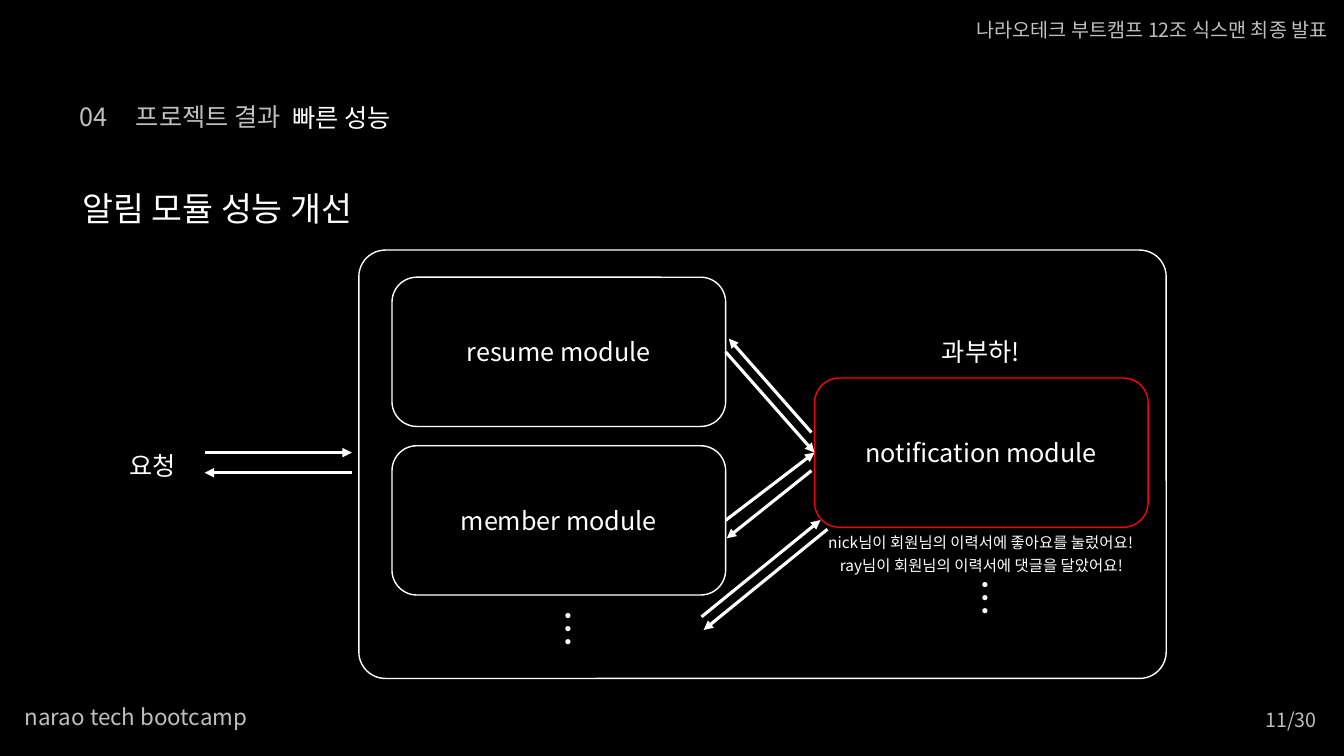
from pptx import Presentation
from pptx.dml.color import RGBColor
from pptx.enum.shapes import MSO_CONNECTOR, MSO_SHAPE
from pptx.enum.text import MSO_ANCHOR, PP_ALIGN
from pptx.oxml.ns import qn
from pptx.util import Pt
from lxml import etree

FONT = "Noto Sans CJK KR"
WHITE, GRAY, BLACK, RED = "FFFFFF", "BFBFBF", "000000", "FF0000"
LEFT, CENTER, RIGHT = PP_ALIGN.LEFT, PP_ALIGN.CENTER, PP_ALIGN.RIGHT
MIDDLE = MSO_ANCHOR.MIDDLE
ROUNDED = MSO_SHAPE.ROUNDED_RECTANGLE
STRAIGHT = MSO_CONNECTOR.STRAIGHT
LEFT_SIDE, RIGHT_SIDE = 1, 3


def color(hex_string):
    return RGBColor.from_string(hex_string)


def write(shape, text, size, text_color, alignment):
    """Put one styled line in a shape, with the font set for Latin and Korean."""
    shape.text_frame.word_wrap = True
    paragraph = shape.text_frame.paragraphs[0]
    paragraph.text = text
    paragraph.alignment = alignment
    paragraph.font.size = Pt(size)
    paragraph.font.name = FONT
    paragraph.font.color.rgb = color(text_color)
    properties = paragraph._p.pPr.find(qn("a:defRPr"))
    etree.SubElement(properties, qn("a:ea"), typeface=FONT)


presentation = Presentation()
presentation.slide_width = Pt(960)
presentation.slide_height = Pt(540)
slide = presentation.slides.add_slide(presentation.slide_layouts[6])
slide.background.fill.solid()
slide.background.fill.fore_color.rgb = color(BLACK)

# Server frame and its modules
MODULE_WIDTH, MODULE_HEIGHT = 238.3, 106.6
boxes = {}
for name, left, top, width, height, line_color in [
    ("server", 256.3, 178.6, 576.7, 306, WHITE),
    ("notification module", 581.8, 270, MODULE_WIDTH, MODULE_HEIGHT, RED),
    ("resume module", 280, 198, MODULE_WIDTH, MODULE_HEIGHT, WHITE),
    ("member module", 280, 318.4, MODULE_WIDTH, MODULE_HEIGHT, WHITE),
]:
    box = slide.shapes.add_shape(ROUNDED, Pt(left), Pt(top), Pt(width), Pt(height))
    box.shadow.inherit = False
    box.line.color.rgb = color(line_color)
    box.line.width = Pt(1)
    if name == "server":
        box.adjustments[0] = 0.062
        box.fill.background()
    else:
        box.fill.solid()
        box.fill.fore_color.rgb = color(BLACK)
        box.text_frame.vertical_anchor = MIDDLE
        write(box, name, 18, WHITE, CENTER)
    boxes[name] = box

# Headings, labels and footer; the ellipses are turned upright
for text, left, top, width, height, size, text_color, alignment, rotation in [
    ("프로젝트 결과", 90, 69.1, 339, 29, 18, GRAY, LEFT, 0),
    ("04", 43.9, 69.1, 46, 29, 18, GRAY, CENTER, 0),
    ("narao tech bootcamp", 3.6, 499, 187.2, 26.6, 16, GRAY, CENTER, 0),
    ("나라오테크 부트캠프 12조 식스맨 최종 발표", 689.8, 9.4, 266.4, 24.5, 14, GRAY, CENTER, 0),
    ("알림 모듈 성능 개선", 43.9, 131, 222.5, 36, 24, WHITE, CENTER, 0),
    ("빠른 성능", 201.6, 69.8, 164.2, 29, 18, WHITE, LEFT, 0),
    ("11/30", 892.8, 501.8, 54.7, 24.5, 14, GRAY, RIGHT, 0),
    ("요청", 80.6, 318.2, 56.2, 29, 18, WHITE, CENTER, 0),
    ("과부하!", 628.6, 236.9, 144, 29, 18, WHITE, CENTER, 0),
    ("nick님이 회원님의 이력서에 좋아요를 눌렀어요!", 577.4, 377.3, 246.2, 20.9, 11, WHITE, CENTER, 0),
    ("ray님이 회원님의 이력서에 댓글을 달았어요!", 585.4, 393.8, 231.1, 20.9, 11, WHITE, CENTER, 0),
    ("…", 364.3, 429.1, 84.2, 41, 28, WHITE, CENTER, 90),
    ("…", 684, 406.1, 40.3, 41, 28, WHITE, CENTER, 90),
]:
    label = slide.shapes.add_textbox(Pt(left), Pt(top), Pt(width), Pt(height))
    label.rotation = rotation
    write(label, text, size, text_color, alignment)

# Calls and replies; calls between modules are joined to their sides
for start_x, start_y, end_x, end_y, caller in [
    (518.3, 251.3, 581.8, 323.3, "resume module"),
    (518.3, 371.7, 581.8, 323.3, "member module"),
    (146.2, 323.3, 251.3, 323.3, None),
    (251.3, 337.7, 146.2, 337.7, None),
    (579.6, 308.9, 520.6, 241.9, None),
    (579.6, 336.2, 519.1, 384.5, None),
    (501.1, 440.6, 586.1, 371.5, None),
    (591.1, 378, 502.6, 450, None),
]:
    arrow = slide.shapes.add_connector(
        STRAIGHT, Pt(start_x), Pt(start_y), Pt(end_x), Pt(end_y))
    if caller:
        arrow.begin_connect(boxes[caller], RIGHT_SIDE)
        arrow.end_connect(boxes["notification module"], LEFT_SIDE)
    arrow.line.color.rgb = color(WHITE)
    arrow.line.width = Pt(2.25)
    etree.SubElement(arrow.line._get_or_add_ln(), qn("a:tailEnd"), type="triangle")
    etree.SubElement(arrow._element.spPr, qn("a:effectLst"))

presentation.save("out.pptx")
